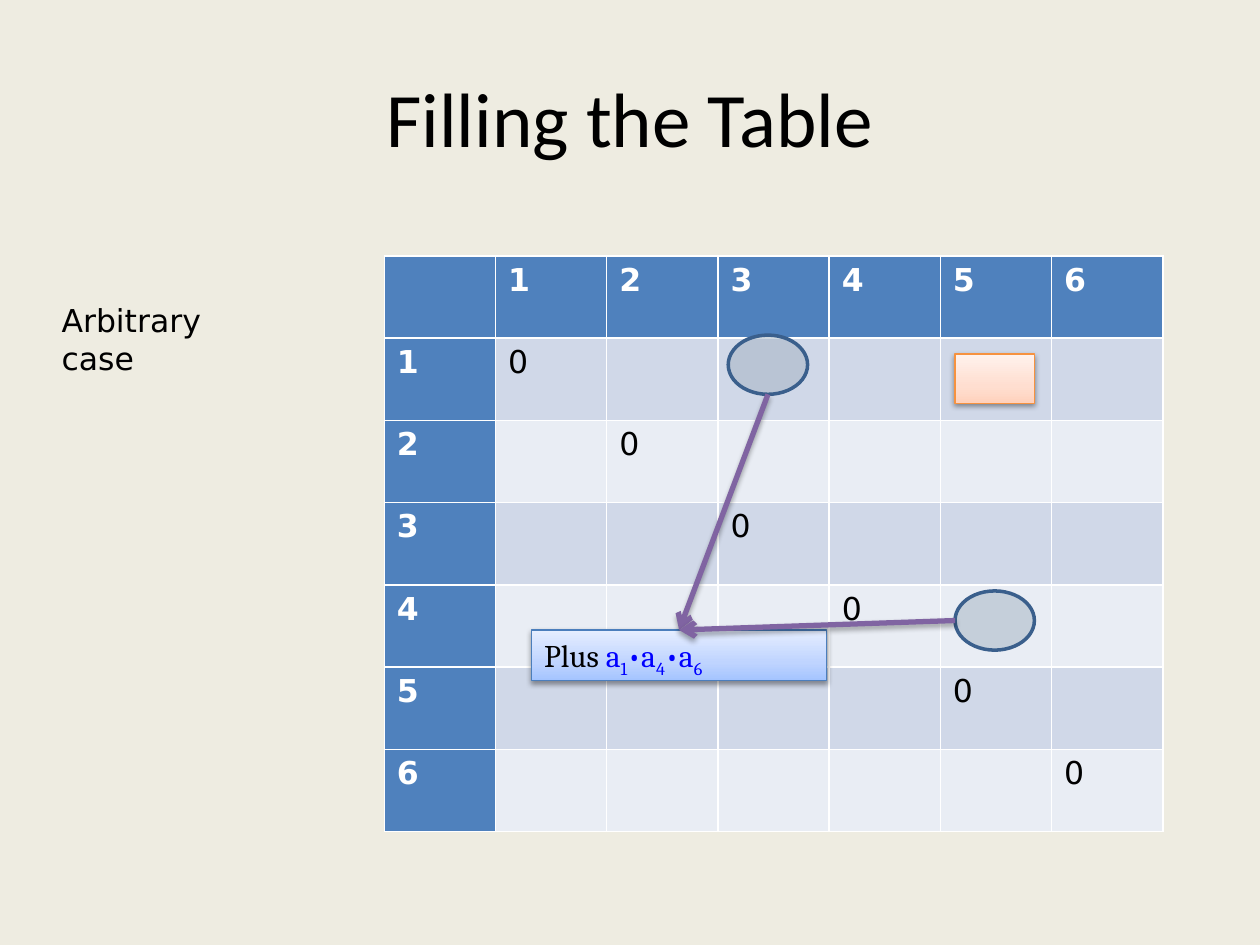
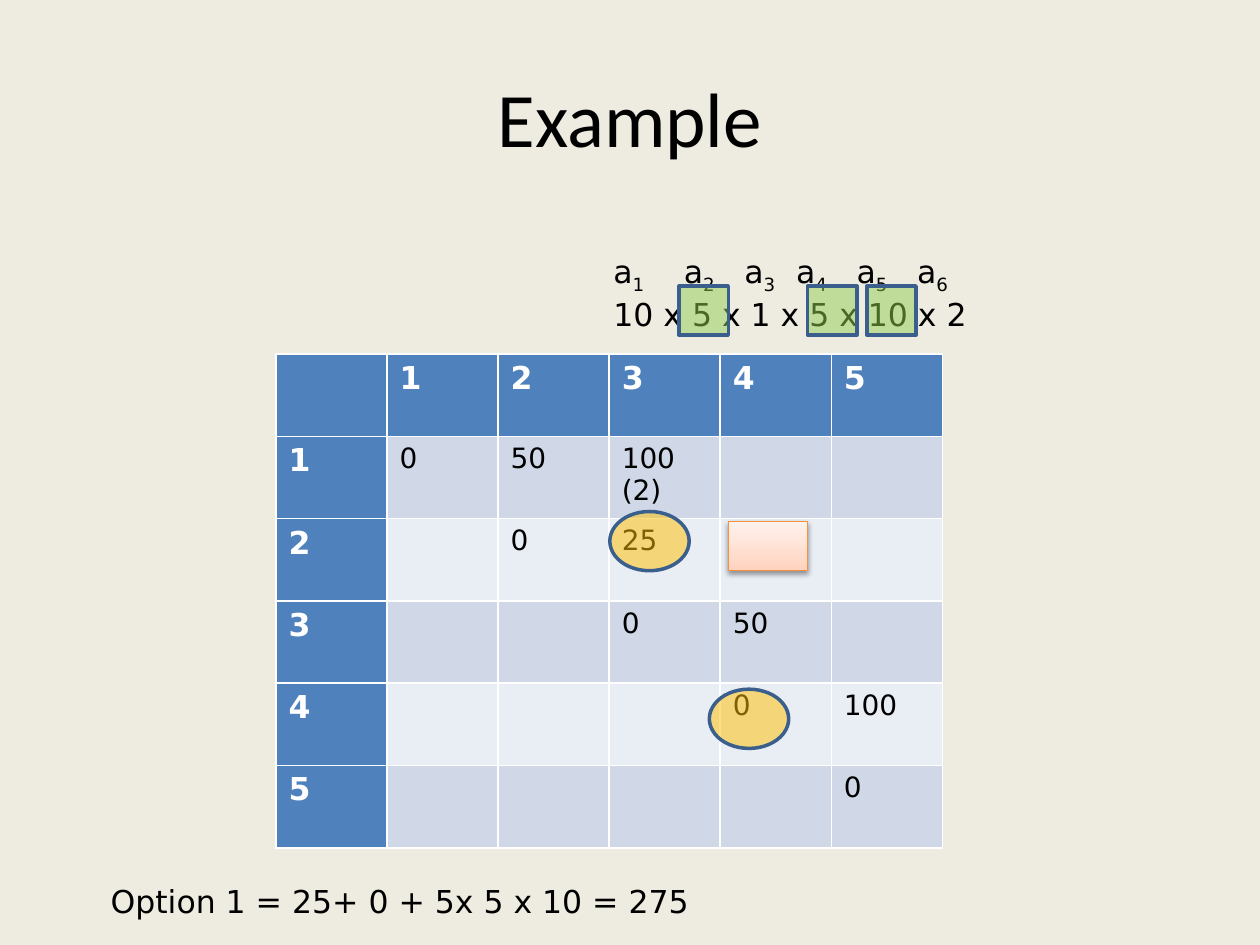
from lxml import etree
from pptx import Presentation
from pptx.dml.color import RGBColor
from pptx.enum.shapes import MSO_CONNECTOR, MSO_SHAPE
from pptx.enum.text import MSO_ANCHOR, PP_ALIGN
from pptx.oxml.ns import qn
from pptx.util import Inches, Pt

RECTANGLE = MSO_SHAPE.RECTANGLE
OVAL = MSO_SHAPE.OVAL
STRAIGHT = MSO_CONNECTOR.STRAIGHT
MIDDLE = MSO_ANCHOR.MIDDLE
TOP = MSO_ANCHOR.TOP
CENTER = PP_ALIGN.CENTER

BACKGROUND = "EEECE1"
BLACK = "000000"
WHITE = "FFFFFF"
HEADER = "4F81BD"
BANDS = ("D0D8E8", "E9EDF4")
OUTLINE = "3A5F8C"
ARROW = "8064A2"
TERM_BLUE = "0000FF"
CIRCLE_GREY = "A3B2C1"
CIRCLE_GOLD = "FFC000"
FACTOR_GREEN = "92D050"
PEACH = ("FFD2BD", "FFDED0", "FFF2ED")
SKY = ("A4C4FF", "BFD4FF", "E6EEFF")
GRADIENT_POSITIONS = (0, 35, 100)

TITLE_FONT = "Calibri"
BODY_FONT = "DejaVu Sans"
FORMULA_FONT = "Cambria"


def rgb(hex_color):
    return RGBColor.from_string(hex_color)


def add_element(parent, tag, **attributes):
    values = {name: str(value) for name, value in attributes.items()}
    return etree.SubElement(parent, qn(tag), values)


def set_font(paragraph, size=18, name=BODY_FONT, color=BLACK, bold=False):
    font = paragraph.font
    font.size, font.name, font.bold = Pt(size), name, bold
    font.color.rgb = rgb(color)


def add_slide(presentation, title):
    slide = presentation.slides.add_slide(presentation.slide_layouts[6])
    slide.background.fill.solid()
    slide.background.fill.fore_color.rgb = rgb(BACKGROUND)
    frame = add_text(slide, title, 0.5, 0.3, 9, 1.25, size=44, name=TITLE_FONT)
    frame.vertical_anchor = MIDDLE
    frame.paragraphs[0].alignment = CENTER
    return slide


def add_text(slide, text, left, top, width, height, **font):
    box = slide.shapes.add_textbox(
        Inches(left), Inches(top), Inches(width), Inches(height))
    frame = box.text_frame
    frame.word_wrap = True
    frame.text = text
    for paragraph in frame.paragraphs:
        set_font(paragraph, **font)
    return frame


def write_terms(paragraph, terms, color=BLACK):
    """Write (text, subscript) pairs after the paragraph's present text."""
    for text, subscript in terms:
        for part, baseline in ((text, 0), (subscript, -25000)):
            run = paragraph.add_run()
            run.text = part
            run.font.color.rgb = rgb(color)
            if baseline:
                run.font._element.set("baseline", str(baseline))


def set_tab_stops(paragraph, positions):
    tab_list = etree.Element(qn("a:tabLst"))
    for position in positions:
        add_element(tab_list, "a:tab", pos=Inches(position), algn="l")
    paragraph._p.get_or_add_pPr().insert(0, tab_list)


def add_cost_table(slide, size, values, left, top, width, height, value_size):
    """Draw a size x size cost grid with numbered headers; values are keyed by (row, column)."""
    table = slide.shapes.add_table(
        size + 1, size + 1,
        Inches(left), Inches(top), Inches(width), Inches(height)).table
    table.first_col = True
    for row in range(size + 1):
        for column in range(size + 1):
            cell = table.cell(row, column)
            is_header = row == 0 or column == 0
            cell.fill.solid()
            cell.fill.fore_color.rgb = rgb(HEADER if is_header else BANDS[(row - 1) % 2])
            if is_header:
                cell.text = str(row or column or "")
            else:
                cell.text = values.get((row, column), "")
            for paragraph in cell.text_frame.paragraphs:
                if is_header:
                    set_font(paragraph, color=WHITE, bold=True)
                else:
                    set_font(paragraph, value_size)


def set_shadow(shape, opacity=0, distance=0):
    """Replace the theme shadow by a downward one, or by none."""
    effects = add_element(shape._element.spPr, "a:effectLst")
    if opacity:
        shadow = add_element(effects, "a:outerShdw", blurRad=Pt(3.1), dist=Pt(distance),
                             dir=5400000, rotWithShape=0)
        color = add_element(shadow, "a:srgbClr", val=BLACK)
        add_element(color, "a:alpha", val=opacity * 1000)


def add_shape(slide, kind, left, top, width, height, line, line_width):
    shape = slide.shapes.add_shape(
        kind, Inches(left), Inches(top), Inches(width), Inches(height))
    shape.line.color.rgb = rgb(line)
    shape.line.width = Pt(line_width)
    return shape


def add_marker(slide, kind, left, top, width, height, color):
    """Add a half-transparent highlight."""
    shape = add_shape(slide, kind, left, top, width, height, OUTLINE, 2)
    shape.fill.solid()
    shape.fill.fore_color.rgb = rgb(color)
    color_element = shape._element.spPr.find(qn("a:solidFill")).find(qn("a:srgbClr"))
    add_element(color_element, "a:alpha", val=50000)
    set_shadow(shape)
    return shape


def add_circle(slide, left, top, color):
    return add_marker(slide, OVAL, left, top, 0.63, 0.47, color)


def add_gradient_box(slide, left, top, width, height, colors, line):
    shape = add_shape(slide, RECTANGLE, left, top, width, height, line, 0.75)
    shape.fill.gradient()
    shape.fill.gradient_angle = 90
    stops = shape._element.spPr.find(qn("a:gradFill")).find(qn("a:gsLst"))
    for stop in list(stops):
        stops.remove(stop)
    for position, color in zip(GRADIENT_POSITIONS, colors):
        stop = add_element(stops, "a:gs", pos=position * 1000)
        add_element(stop, "a:srgbClr", val=color)
    set_shadow(shape, 38, 1.6)
    return shape


def add_target_cell(slide, left, top):
    add_gradient_box(slide, left, top, 0.63, 0.39, PEACH, "F69240")


def add_arrow(slide, start_x, start_y, target):
    """Draw an arrow to the middle of the target's top side."""
    arrow = slide.shapes.add_connector(STRAIGHT, start_x, start_y, target.left, target.top)
    arrow.end_connect(target, 0)
    arrow.line.color.rgb = rgb(ARROW)
    arrow.line.width = Pt(3)
    add_element(arrow.line._get_or_add_ln(), "a:tailEnd", type="arrow")
    set_shadow(arrow, 35, 1.8)


def build_filling_slide(presentation):
    slide = add_slide(presentation, "Filling the Table")
    diagonal = {(index, index): "0" for index in range(1, 7)}
    add_cost_table(slide, 6, diagonal, 3.05, 2.03, 6.18, 4.57, 18)
    add_text(slide, "Arbitrary case", 0.39, 2.34, 1.88, 0.71)
    add_target_cell(slide, 7.58, 2.81)
    left_part = add_circle(slide, 5.78, 2.66, CIRCLE_GREY)
    right_part = add_circle(slide, 7.58, 4.69, CIRCLE_GREY)

    plus_box = add_gradient_box(slide, 4.22, 5, 2.34, 0.4, SKY, "4B7EBC")
    frame = plus_box.text_frame
    frame.vertical_anchor = TOP
    frame.text = "Plus "
    paragraph = frame.paragraphs[0]
    paragraph.alignment = PP_ALIGN.LEFT
    set_font(paragraph, name=FORMULA_FONT)
    paragraph.runs[0].font.color.rgb = rgb(BLACK)
    write_terms(paragraph, [("a", "1"), ("•a", "4"), ("•a", "6")], TERM_BLUE)

    add_arrow(slide, left_part.left + left_part.width // 2,
              left_part.top + left_part.height, plus_box)
    add_arrow(slide, right_part.left, right_part.top + right_part.height // 2, plus_box)


def build_example_slide(presentation):
    slide = add_slide(presentation, "Example")
    costs = {(index, index): "0" for index in range(1, 6)}
    costs.update({(1, 2): "50", (1, 3): "100\v(2)", (2, 3): "25",
                  (3, 4): "50", (4, 5): "100"})
    add_cost_table(slide, 5, costs, 2.19, 2.81, 5.29, 3.92, 16)

    dimensions = add_text(slide, "\n10 x 5 x 1 x 5 x 10 x 2", 4.77, 1.95, 5, 0.71)
    labels = dimensions.paragraphs[0]
    set_tab_stops(labels, (0.56, 1.04, 1.45, 1.93, 2.41))
    write_terms(labels, [("\ta" if index > 1 else "a", str(index)) for index in range(1, 7)])
    add_text(slide, "Option 1 = 25+ 0 + 5x 5 x 10 = 275", 0.78, 6.95, 7.19, 0.4)

    for left in (5.39, 6.41, 6.88):
        add_marker(slide, RECTANGLE, left, 2.27, 0.39, 0.39, FACTOR_GREEN)
    for left, top in ((4.84, 4.06), (5.63, 5.47)):
        add_circle(slide, left, top, CIRCLE_GOLD)
    add_target_cell(slide, 5.78, 4.14)


def main():
    presentation = Presentation()
    presentation.slide_width = Inches(10)
    presentation.slide_height = Inches(7.5)
    build_filling_slide(presentation)
    build_example_slide(presentation)
    presentation.save("out.pptx")


if __name__ == "__main__":
    main()
